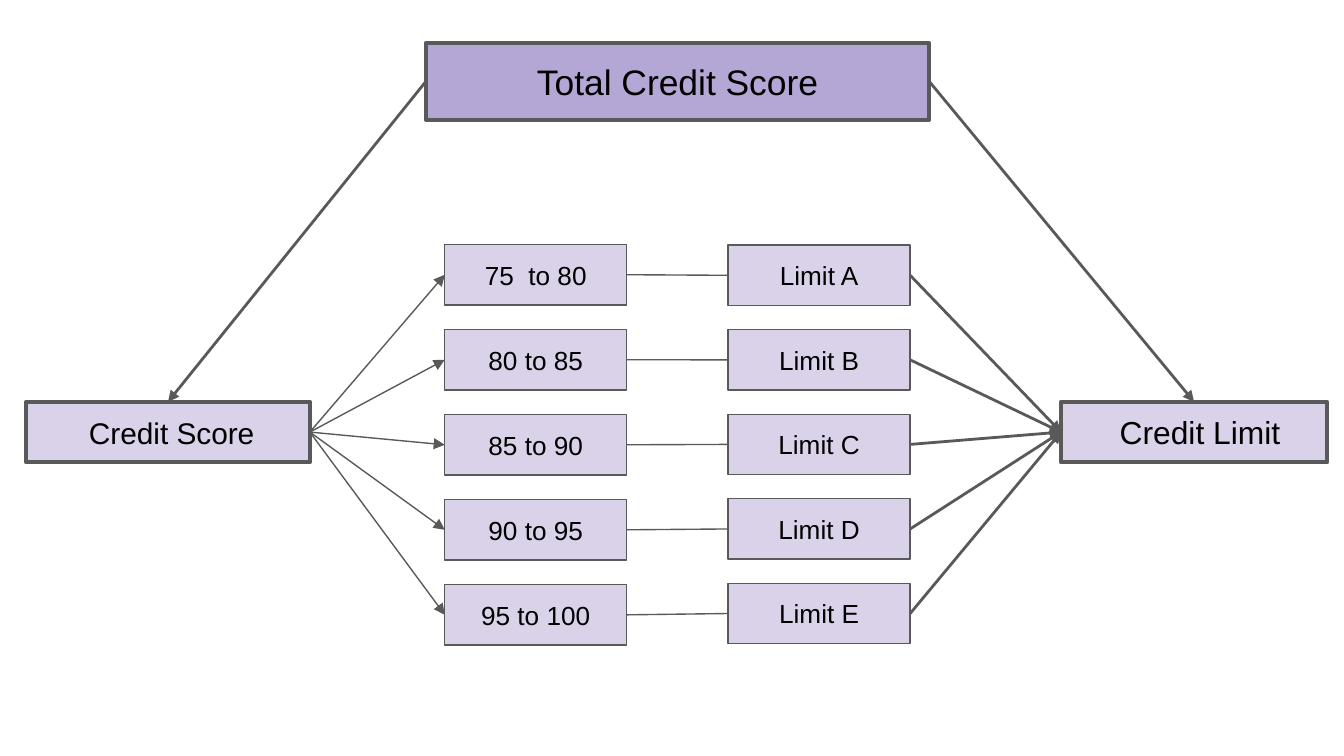
from lxml import etree
from pptx import Presentation
from pptx import util as u
from pptx.dml.color import RGBColor
from pptx.enum import shapes, text
from pptx.oxml import ns

PURPLE = RGBColor(0xB4, 0xA7, 0xD6)
LAVENDER = RGBColor(0xD9, 0xD2, 0xE9)
GRAY = RGBColor(0x59, 0x59, 0x59)
BLACK = RGBColor(0, 0, 0)

TOP, LEFT, RIGHT = 0, 1, 3
THIN, MEDIUM, THICK = 0.75, 1.5, 2.25
INSET = 7.2
SCORES = ["75  to 80", "80 to 85", "85 to 90", "90 to 95", "95 to 100"]
LIMITS = ["Limit A", "Limit B", "Limit C", "Limit D", "Limit E"]


def set_attributes(target, values):
    for name, value in values.items():
        setattr(target, name, value)


def add_box(slide, box, label, size, fill=LAVENDER, line_width=THICK,
            align=text.PP_ALIGN.CENTER, indent=0):
    shape = slide.shapes.add_shape(
        shapes.MSO_SHAPE.RECTANGLE, *[u.Pt(value) for value in box])
    shape.shadow.inherit = False
    shape.fill.solid()
    shape.fill.fore_color.rgb = fill
    shape.line.color.rgb = GRAY
    shape.line.width = u.Pt(line_width)
    set_attributes(shape.text_frame, {
        "word_wrap": True,
        "vertical_anchor": text.MSO_ANCHOR.MIDDLE,
        "margin_left": u.Pt(INSET + indent),
        "margin_right": u.Pt(INSET),
        "margin_top": u.Pt(INSET),
        "margin_bottom": u.Pt(INSET),
    })
    paragraph = shape.text_frame.paragraphs[0]
    paragraph.alignment = align
    run = paragraph.add_run()
    run.text = label
    set_attributes(run.font, {"name": "Arial", "size": u.Pt(size)})
    run.font.color.rgb = BLACK
    return shape


def link(slide, start, start_site, end, end_site, width, arrow=True):
    connector = slide.shapes.add_connector(
        shapes.MSO_CONNECTOR.STRAIGHT, u.Pt(0), u.Pt(0), u.Pt(0), u.Pt(0))
    connector.begin_connect(start, start_site)
    connector.end_connect(end, end_site)
    connector.line.color.rgb = GRAY
    connector.line.width = u.Pt(width)
    if arrow:
        line = connector.line._get_or_add_ln()
        etree.SubElement(line, ns.qn("a:tailEnd"), type="triangle")
    etree.SubElement(connector._element.spPr, ns.qn("a:effectLst"))


def add_column(slide, box, labels):
    left, top, width, height = box
    box_height = 32.4
    step = (height - box_height) / (len(labels) - 1)
    return [
        add_box(slide, (left, top + index * step, width, box_height),
                label, 14, line_width=THIN)
        for index, label in enumerate(labels)
    ]


def add_headings(slide, box):
    left, top, width, height = box
    side_height = 32.4
    side_top = top + height - side_height
    total = add_box(slide, (left + 214.2, top, 269.6, 41.2),
                    "Total Credit Score", 19, PURPLE)
    score = add_box(slide, (left, side_top, 152, side_height),
                    "Credit Score", 16, indent=3.9)
    limit = add_box(slide, (left + width - 142.6, side_top, 142.6, side_height),
                    "Credit Limit", 17, align=text.PP_ALIGN.LEFT, indent=24.2)
    return total, score, limit


def add_ranges(slide, box):
    left, top, width, height = box
    column_width = 97.5
    scores = add_column(slide, (left, top, column_width, height), SCORES)
    limits = add_column(
        slide, (left + width - column_width, top + 0.3, column_width, height - 1),
        LIMITS)
    return scores, limits


def add_links(slide, total, score, limit, scores, limits):
    for score_range in scores:
        link(slide, score, RIGHT, score_range, LEFT, THIN)
    for score_range, limit_range in zip(scores, limits):
        link(slide, score_range, RIGHT, limit_range, LEFT, THIN, arrow=False)
    for limit_range in limits:
        link(slide, limit_range, RIGHT, limit, LEFT, MEDIUM)
    link(slide, total, LEFT, score, TOP, MEDIUM)
    link(slide, total, RIGHT, limit, TOP, MEDIUM)


def main():
    presentation = Presentation()
    set_attributes(presentation, {
        "slide_width": u.Pt(720), "slide_height": u.Pt(405)})
    slide = presentation.slides.add_slide(presentation.slide_layouts[6])
    headings = add_headings(slide, (14, 23, 697, 224.7))
    ranges = add_ranges(slide, (238.3, 131, 249.3, 214.6))
    add_links(slide, *headings, *ranges)
    presentation.save("out.pptx")


if __name__ == "__main__":
    main()
